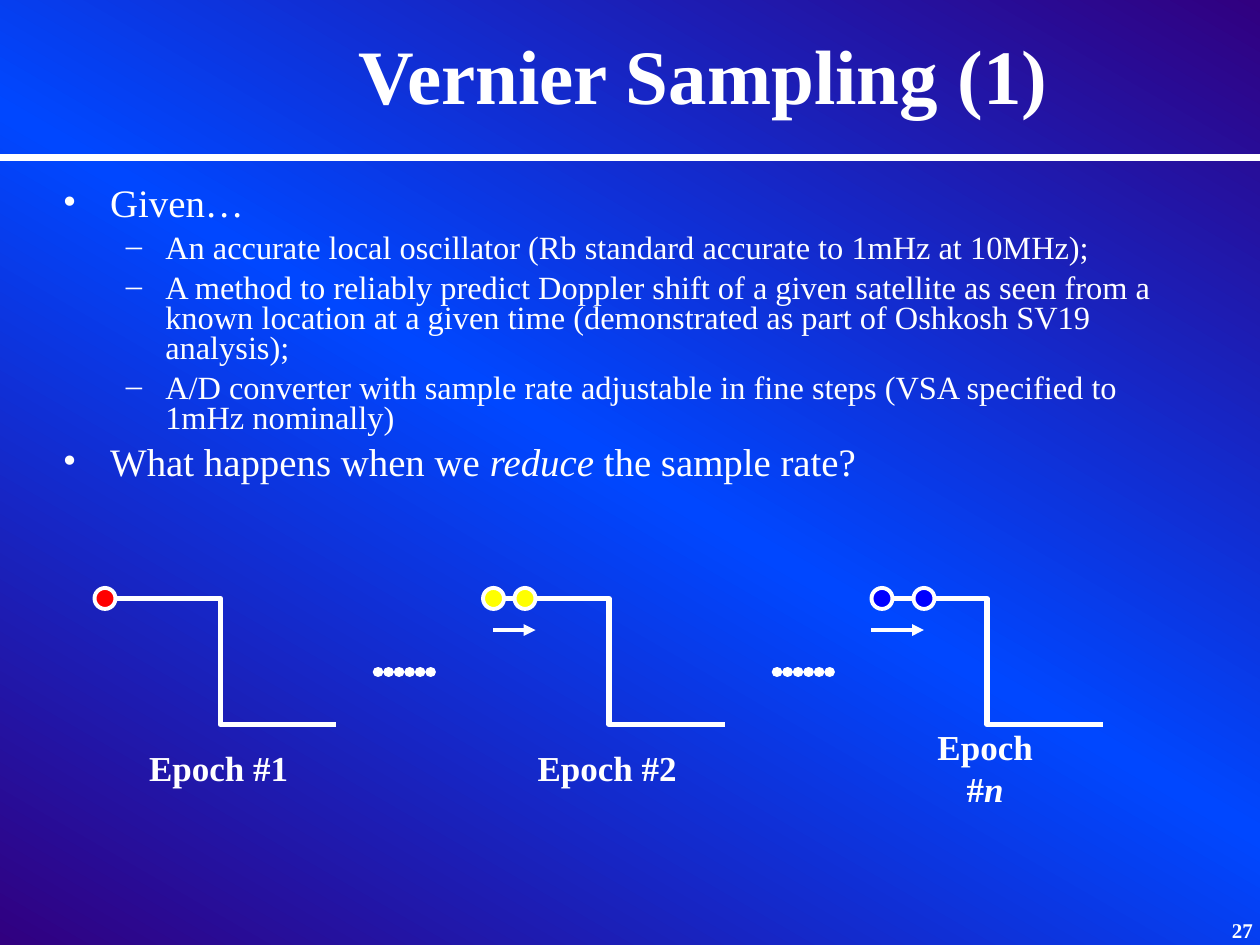
from lxml import etree
from pptx import Presentation
from pptx.dml.color import RGBColor
from pptx.enum import shapes, text
from pptx.oxml import parse_xml
from pptx.oxml.ns import nsdecls, qn
from pptx.util import Pt

FONT = "Times New Roman"
WHITE = "FFFFFF"
DARK, BRIGHT = "310080", "0047FF"

# Step waveform geometry, shared by all epochs
STEP_TOP, STEP_WIDTH, STEP_HEIGHT = 342, 132, 72
SAMPLE_SIZE = 12

# Step start, sample colour, sample centres, arrow ends, label runs
EPOCHS = [
    (60, "FF0000", [60], None, ["Epoch #1"]),
    (282, "FFFF00", [282, 300], (282, 306), ["Epoch #2"]),
    (498, "0000FF", [504, 528], (498, 528), ["Epoch #", "n"]),
]

# Level, then runs; every second run is italic
POINTS = [
    (0, ["Given…"]),
    (1, ["An accurate local oscillator (Rb standard accurate to 1mHz at 10MHz);"]),
    (1, ["A method to reliably predict Doppler shift of a given satellite as seen "
         "from a known location at a given time (demonstrated as part of Oshkosh "
         "SV19 analysis);"]),
    (1, ["A/D converter with sample rate adjustable in fine steps (VSA specified "
         "to 1mHz nominally)"]),
    (0, ["What happens when we ", "reduce", " the sample rate?"]),
]

# Bullet, left margin, hanging indent, size, space before
LEVELS = [("•", 27, 27, 22.2, 6.9), ("–", 58.5, 22.5, 18.5, 5.9)]


def color(hex_string):
    return RGBColor.from_string(hex_string)


def set_background(slide):
    fill = slide.background.fill
    fill.gradient()
    fill.gradient_angle = 60
    stops = fill._fill._gradFill.find(qn("a:gsLst"))
    for stop in list(stops):
        stops.remove(stop)
    for position, shade in [(0, DARK), (50, BRIGHT), (100, DARK)]:
        stops.append(parse_xml(
            f'<a:gs {nsdecls("a")} pos="{position * 1000}">'
            f'<a:srgbClr val="{shade}"/></a:gs>'))


def write_runs(paragraph, pieces, size, bold=False):
    for index, piece in enumerate(pieces):
        run = paragraph.add_run()
        run.text = piece
        run.font.name = FONT
        run.font.size = Pt(size)
        run.font.bold = bold
        run.font.italic = index % 2 == 1
        run.font.color.rgb = color(WHITE)


def add_frame(slide, left, top, width, height, margins=(0, 0), wrap=True,
              anchor=text.MSO_ANCHOR.TOP):
    frame = slide.shapes.add_textbox(
        Pt(left), Pt(top), Pt(width), Pt(height)).text_frame
    frame.word_wrap = wrap
    frame.vertical_anchor = anchor
    frame.margin_left = frame.margin_right = Pt(margins[0])
    frame.margin_top = frame.margin_bottom = Pt(margins[1])
    return frame


def add_line(slide, start, end, y, weight):
    line = slide.shapes.add_connector(
        shapes.MSO_CONNECTOR.STRAIGHT, Pt(start), Pt(y), Pt(end), Pt(y))
    line.line.color.rgb = color(WHITE)
    line.line.width = Pt(weight)
    etree.SubElement(line._element.spPr, qn("a:effectLst"))
    return line


def add_arrow(slide, start, end, y):
    outline = add_line(slide, start, end, y, 2.25).line._get_or_add_ln()
    etree.SubElement(outline, qn("a:tailEnd"), type="triangle")


def add_dots(slide, start, end, y):
    outline = add_line(slide, start, end, y, 6).line._get_or_add_ln()
    outline.set("cap", "rnd")
    dash = etree.SubElement(outline, qn("a:custDash"))
    etree.SubElement(dash, qn("a:ds"), d="100000", sp="0")
    etree.SubElement(outline, qn("a:round"))


def add_step(slide, left):
    middle, right = left + STEP_WIDTH / 2, left + STEP_WIDTH
    bottom = STEP_TOP + STEP_HEIGHT
    builder = slide.shapes.build_freeform(Pt(left), Pt(STEP_TOP))
    builder.add_line_segments(
        [(Pt(x), Pt(y)) for x, y in
         [(middle, STEP_TOP), (middle, bottom), (right, bottom)]], close=False)
    step = builder.convert_to_shape()
    step.shadow.inherit = False
    step.fill.background()
    step.line.color.rgb = color(WHITE)
    step.line.width = Pt(3)


def add_sample(slide, center, shade):
    sample = slide.shapes.add_shape(
        shapes.MSO_SHAPE.OVAL, Pt(center - SAMPLE_SIZE / 2),
        Pt(STEP_TOP - SAMPLE_SIZE / 2), Pt(SAMPLE_SIZE), Pt(SAMPLE_SIZE))
    sample.shadow.inherit = False
    sample.fill.solid()
    sample.fill.fore_color.rgb = color(shade)
    sample.line.color.rgb = color(WHITE)
    sample.line.width = Pt(2.25)


def add_points(slide):
    frame = add_frame(slide, 36, 108, 648, 174)
    for index, (level, pieces) in enumerate(POINTS):
        bullet, margin, hanging, size, before = LEVELS[level]
        paragraph = frame.add_paragraph() if index else frame.paragraphs[0]
        paragraph.level = level
        properties = paragraph._p.get_or_add_pPr()
        properties.set("marL", str(Pt(margin)))
        properties.set("indent", str(-Pt(hanging)))
        bullet_color = etree.SubElement(properties, qn("a:buClr"))
        etree.SubElement(bullet_color, qn("a:srgbClr"), val=WHITE)
        etree.SubElement(properties, qn("a:buFont"), typeface=FONT)
        etree.SubElement(properties, qn("a:buChar"), char=bullet)
        paragraph.line_spacing = 0.77
        if index:
            paragraph.space_before = Pt(before)
        write_runs(paragraph, pieces, size)


def add_label(slide, box, pieces, size, align, spacing=1.0, **frame_options):
    paragraph = add_frame(slide, *box, **frame_options).paragraphs[0]
    paragraph.alignment = align
    paragraph.line_spacing = spacing
    write_runs(paragraph, pieces, size, bold=True)


def main():
    deck = Presentation()
    deck.slide_width, deck.slide_height = Pt(720), Pt(540)
    slide = deck.slides.add_slide(deck.slide_layouts[6])
    set_background(slide)
    middle, center = text.MSO_ANCHOR.MIDDLE, text.PP_ALIGN.CENTER

    # Page number, header rule and title
    add_label(slide, (3, 522, 720, 21), ["27"], 12, text.PP_ALIGN.RIGHT, 0.93,
              margins=(7.2, 3.6))
    add_line(slide, 0, 720, 90, 4.5)
    add_label(slide, (84, 0, 636, 90), ["Vernier Sampling (1)"], 44, center,
              0.93, anchor=middle)

    # Bulleted argument
    add_points(slide)

    # Sampled step for each epoch
    for left, shade, samples, arrow, label in EPOCHS:
        add_step(slide, left)
        for sample in samples:
            add_sample(slide, sample, shade)
        if arrow:
            add_arrow(slide, *arrow, 360)
        add_label(slide, (left + 18, 422.6, 94, 32), label, 20, center,
                  margins=(7.2, 3.6), wrap=False, anchor=middle)

    # Elapsed time between epochs
    for start in (216, 444):
        add_dots(slide, start, start + 36, 384)

    deck.save("out.pptx")


if __name__ == "__main__":
    main()
